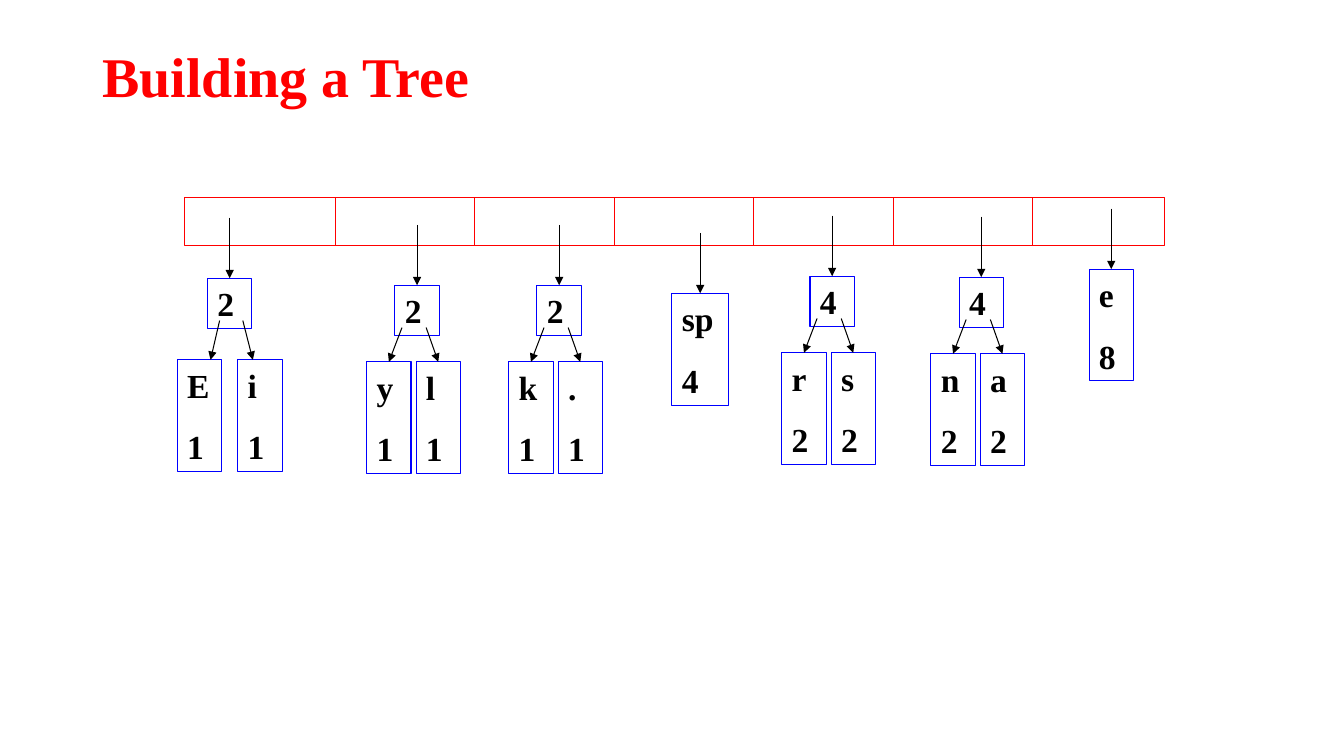
from lxml import etree
from pptx import Presentation
from pptx.dml.color import RGBColor
from pptx.enum.shapes import MSO_CONNECTOR, MSO_SHAPE
from pptx.enum.text import MSO_ANCHOR, MSO_AUTO_SIZE, PP_ALIGN
from pptx.oxml.ns import qn
from pptx.util import Inches, Pt

RED = RGBColor(0xFF, 0x00, 0x00)
BLUE = RGBColor(0x00, 0x00, 0xFF)
BLACK = RGBColor(0x00, 0x00, 0x00)
WHITE = RGBColor(0xFF, 0xFF, 0xFF)

FONT = "Times New Roman"
RECTANGLE = MSO_SHAPE.RECTANGLE
STRAIGHT = MSO_CONNECTOR.STRAIGHT
LEFT = PP_ALIGN.LEFT
TOP, MIDDLE = MSO_ANCHOR.TOP, MSO_ANCHOR.MIDDLE
FIT_SHAPE = MSO_AUTO_SIZE.SHAPE_TO_FIT_TEXT

LINE_WIDTH = Pt(0.75)
NODE_WIDTH, ROOT_HEIGHT, LEAF_HEIGHT = 0.44, 0.5, 1.11
POINTER_LENGTH = 0.6
TOP_SIDE = 0

# Roots of the regular two-leaf trees: left, top, count, letters
TREES = [
    (3.92, 2.83, 2, "yl"),
    (5.33, 2.83, 2, "k."),
    (8.04, 2.74, 4, "rs"),
    (9.52, 2.75, 4, "na"),
]


def style_text(para, size, color):
    para.alignment = LEFT
    for span in para.runs:
        span.font.name = FONT
        span.font.size = Pt(size)
        span.font.bold = True
        span.font.color.rgb = color


def add_title(page, text):
    box = page.shapes.add_textbox(Inches(0.92), Inches(0.4), Inches(11.5), Inches(0.77))
    frame = box.text_frame
    frame.word_wrap = True
    frame.vertical_anchor = MIDDLE
    frame.text = text
    frame.paragraphs[0].line_spacing = 0.9
    style_text(frame.paragraphs[0], 40, RED)


def add_rectangle(page, left, top, width, height, color):
    box = page.shapes.add_shape(
        RECTANGLE, Inches(left), Inches(top), Inches(width), Inches(height))
    box.shadow.inherit = False
    box.fill.background()
    box.line.color.rgb = color
    box.line.width = LINE_WIDTH
    return box


def add_node(page, left, top, lines, height, width=NODE_WIDTH):
    box = add_rectangle(page, left, top, width, height, BLUE)
    frame = box.text_frame
    frame.word_wrap = True
    frame.auto_size = FIT_SHAPE
    frame.vertical_anchor = TOP
    frame.text = "\n".join(lines)
    for index, para in enumerate(frame.paragraphs):
        if index:
            para.space_before = Pt(15)
        style_text(para, 24, BLACK)
    return box


def add_line(page, start, end, color):
    line = page.shapes.add_connector(STRAIGHT, *(Inches(value) for value in start + end))
    line.line.color.rgb = color
    line.line.width = LINE_WIDTH
    properties = line.line._get_or_add_ln().getparent()
    etree.SubElement(properties, qn("a:effectLst"))
    return line


def add_arrow(page, start, end, target=None):
    arrow = add_line(page, start, end, BLACK)
    etree.SubElement(arrow.line._get_or_add_ln(), qn("a:tailEnd"), type="triangle")
    if target is not None:
        arrow.end_connect(target, TOP_SIDE)


def add_queue(page):
    left, top, width, height = 1.83, 1.96, 9.73, 0.48
    queue = add_rectangle(page, left, top, width, height, RED)
    queue.fill.solid()
    queue.fill.fore_color.rgb = WHITE
    first, last, count = 3.33, 10.25, 6
    for index in range(count):
        x = first + index * (last - first) / (count - 1)
        add_line(page, (x, top), (x, top + height), RED)


def add_queued_node(page, left, top, lines, height, width=NODE_WIDTH):
    """Draw a node with the arrow that drops to it from the queue."""
    node = add_node(page, left, top, lines, height, width)
    center = left + width / 2
    add_arrow(page, (center, top - POINTER_LENGTH), (center, top), node)


def add_tree(page, left, top, count, letters, leaf_lefts=(-0.28, 0.21), leaf_drop=0.76,
             starts=(0.07, 0.31), tips=None):
    """Draw a root and its leaves; x offsets are taken from the root's left."""
    add_queued_node(page, left, top, [str(count)], ROOT_HEIGHT)
    leaf_top = top + leaf_drop
    for index, letter in enumerate(letters):
        leaf_left = left + leaf_lefts[index]
        leaf = add_node(page, leaf_left, leaf_top, [letter, str(count // 2)], LEAF_HEIGHT)
        start = (left + starts[index], top + 0.42)
        if tips:
            add_arrow(page, start, (left + tips[index], leaf_top))
        else:
            add_arrow(page, start, (leaf_left + NODE_WIDTH / 2, leaf_top), leaf)


def main():
    deck = Presentation()
    deck.slide_width, deck.slide_height = Inches(13.34), Inches(7.5)
    page = deck.slides.add_slide(deck.slide_layouts[6])

    # Title and priority queue
    add_title(page, "Building a Tree")
    add_queue(page)

    # First tree, with its leaves set wider apart
    add_tree(page, 2.06, 2.76, 2, "Ei", leaf_lefts=(-0.3, 0.3), leaf_drop=0.81,
             starts=(0.12, 0.35), tips=(0.03, 0.45))

    # Remaining trees
    for left, top, count, letters in TREES:
        add_tree(page, left, top, count, letters)

    # Single nodes
    add_queued_node(page, 6.67, 2.91, ["sp", "4"], LEAF_HEIGHT, width=0.56)
    add_queued_node(page, 10.81, 2.67, ["e", "8"], LEAF_HEIGHT)

    deck.save("out.pptx")


if __name__ == "__main__":
    main()
